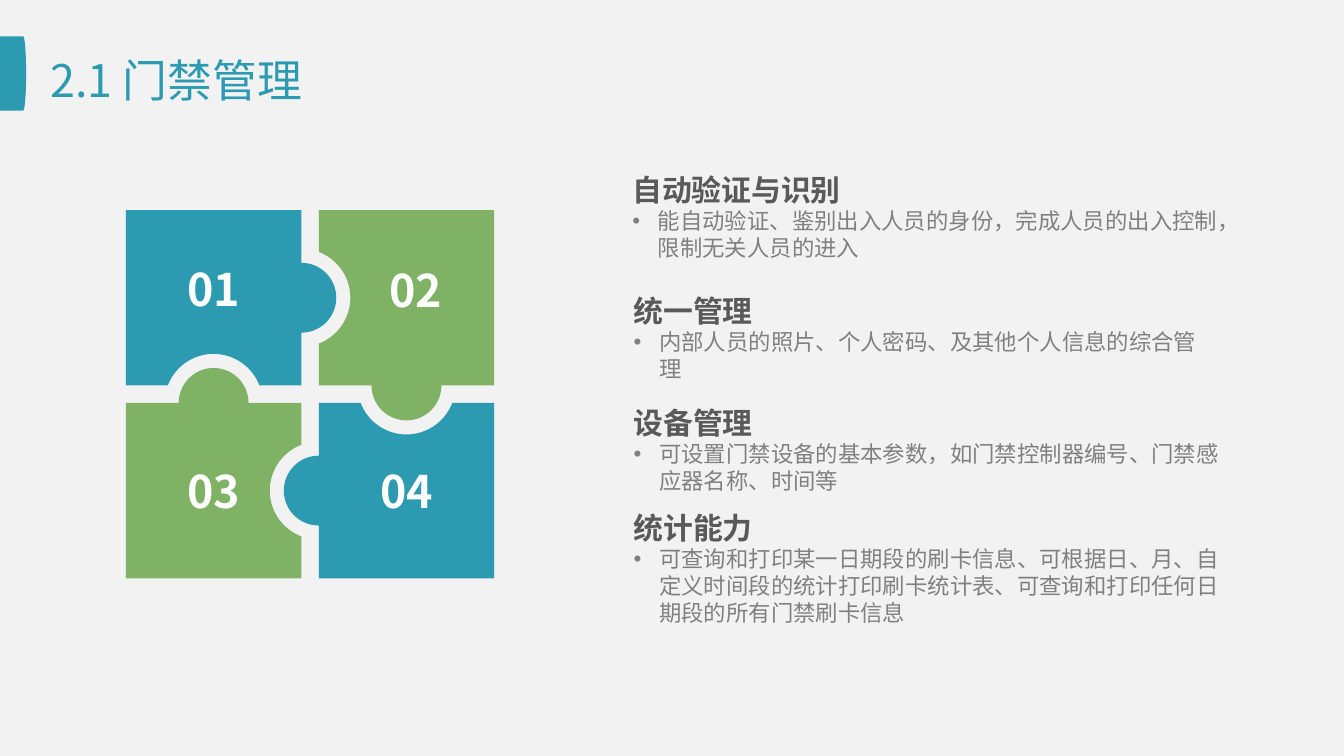
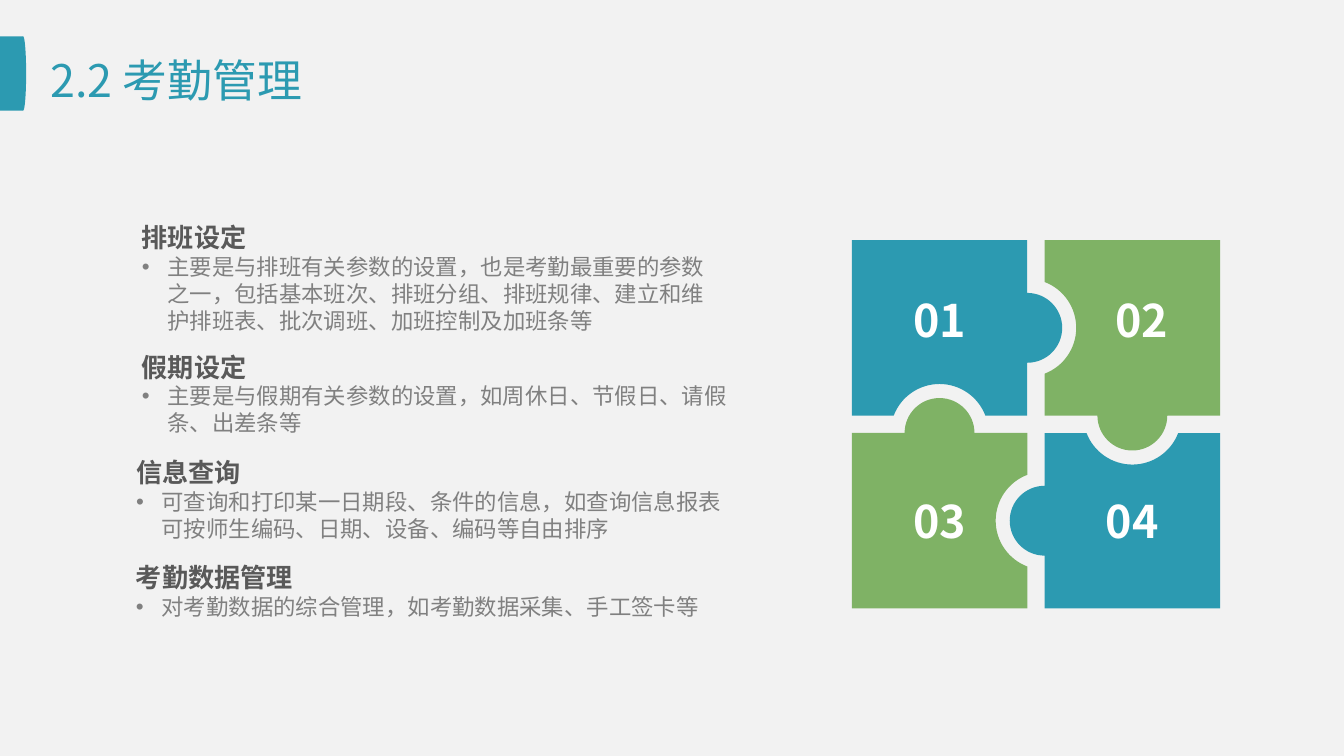
from math import asin, cos, pi, sin, tan

from lxml.etree import SubElement
from pptx import Presentation
from pptx.dml.color import RGBColor
from pptx.enum.shapes import MSO_SHAPE
from pptx.enum.text import MSO_ANCHOR, MSO_AUTO_SIZE, PP_ALIGN
from pptx.oxml.ns import qn
from pptx.util import Inches, Pt

SLIDE_WIDTH, SLIDE_HEIGHT = Inches(10), Inches(5.625)
COLUMN = SLIDE_WIDTH / 100
FONT = "Noto Sans CJK SC"
TEAL, GREEN, WHITE, PALE = "2C9AB1", "7FB265", "FFFFFF", "F2F2F2"
HEADING_GRAY, BODY_GRAY = "595959", "808080"

PIECE, GAP, KNOB, SOCKET = 13.05, 1.3, 2.6, 3.65
PIECES = [
    ("01", 0, 0, 0, TEAL, (0, -0.65)),
    ("02", 1, 0, 1, GREEN, (0.7, -0.6)),
    ("04", 1, 1, 2, TEAL, (0, 0)),
    ("03", 0, 1, 3, GREEN, (0, 0)),
]

ACCESS_TOPICS = [
    (46.35, 12.35, 46, 7.5, "自动验证与识别",
     "能自动验证、鉴别出入人员的身份，完成人员的出入控制，限制无关人员的进入"),
    (46.45, 21.35, 43.9, 7.5, "统一管理",
     "内部人员的照片、个人密码、及其他个人信息的综合管理"),
    (46.45, 29.7, 45.8, 7.5, "设备管理",
     "可设置门禁设备的基本参数，如门禁控制器编号、门禁感应器名称、时间等"),
    (46.45, 37.5, 46, 9.5, "统计能力",
     "可查询和打印某一日期段的刷卡信息、可根据日、月、自定义时间段的统计打印刷卡统计表、"
     "可查询和打印任何日期段的所有门禁刷卡信息"),
]
ATTENDANCE_TOPICS = [
    (9.85, 16.05, 43.9, 9.2, "排班设定",
     "主要是与排班有关参数的设置，也是考勤最重要的参数之一，包括基本班次、排班分组、"
     "排班规律、建立和维护排班表、批次调班、加班控制及加班条等"),
    (9.85, 25.7, 46, 7.2, "假期设定",
     "主要是与假期有关参数的设置，如周休日、节假日、请假条、出差条等"),
    (9.42, 33.55, 45.8, 7.2, "信息查询",
     "可查询和打印某一日期段、条件的信息，如查询信息报表可按师生编码、日期、设备、编码等自由排序"),
    (9.42, 41.4, 46, 5.1, "考勤数据管理",
     "对考勤数据的综合管理，如考勤数据采集、手工签卡等"),
]


def color(value):
    """Turn a hex string into a colour."""
    return RGBColor.from_string(value)


def grid(*columns):
    """Turn counts of grid columns into slide lengths."""
    return [round(count * COLUMN) for count in columns]


def paint(shape, fill):
    """Give a shape a plain fill without line or shadow."""
    shape.shadow.inherit = False
    shape.fill.solid()
    shape.fill.fore_color.rgb = color(fill)
    shape.line.fill.background()


def add_run(paragraph, text, size, text_color, bold=False):
    """Add one formatted run to a paragraph."""
    run = paragraph.add_run()
    run.text = text
    run.font.size = Pt(size)
    run.font.bold = bold
    run.font.color.rgb = color(text_color)
    run.font.name = FONT
    SubElement(run.font._element, qn("a:ea"), typeface=FONT)


def add_bullet(paragraph):
    """Give a paragraph a round bullet with a hanging indent."""
    properties = paragraph._p.get_or_add_pPr()
    indent, = grid(1.9)
    properties.set("marL", str(indent))
    properties.set("indent", str(-indent))
    SubElement(properties, qn("a:buFont"), typeface="Arial")
    SubElement(properties, qn("a:buChar"), char="•")


def add_side_tab(slide):
    """Draw the teal tab once and hand it to the slide's layout."""
    for preset, left, width in ((MSO_SHAPE.RECTANGLE, 0, 1.7), (MSO_SHAPE.OVAL, 1.5, 0.45)):
        shape = slide.shapes.add_shape(preset, *grid(left, 2.7, width, 5.54))
        paint(shape, TEAL)
        slide.slide_layout.shapes.element.append(shape.element)


def set_title(slide, text):
    """Place and format the title."""
    title = slide.shapes.title
    title.left, title.top, title.width, title.height = grid(2.75, 2.9, 90, 6)
    frame = title.text_frame
    frame.vertical_anchor = MSO_ANCHOR.MIDDLE
    frame.auto_size = MSO_AUTO_SIZE.NONE
    paragraph = frame.paragraphs[0]
    paragraph.alignment = PP_ALIGN.LEFT
    add_run(paragraph, text, 24, TEAL)


def add_topic(slide, left, top, width, height, heading, body, heading_size):
    """Add a bold heading with one bullet below it."""
    frame = slide.shapes.add_textbox(*grid(left, top, width, height)).text_frame
    frame.word_wrap = True
    frame.auto_size = MSO_AUTO_SIZE.SHAPE_TO_FIT_TEXT
    frame.vertical_anchor = MSO_ANCHOR.MIDDLE
    frame.margin_left, frame.margin_right = grid(0.7, 0.7)
    frame.margin_top, frame.margin_bottom = grid(0.4, 0.4)
    first, second = frame.paragraphs[0], frame.add_paragraph()
    add_bullet(second)
    first.line_spacing = Pt(heading_size * 1.2)
    second.line_spacing = Pt(12 * 1.2)
    add_run(first, heading, heading_size, HEADING_GRAY, bold=True)
    add_run(second, body, 12, BODY_GRAY)


def arc(center_x, center_y, radius, start, sweep):
    """Return an arc as its start point and two curves of three points."""
    step = sweep / 2
    pull = radius * 4 / 3 * tan(step / 4)

    def place(angle, shift=0):
        return (center_x + radius * cos(angle) - shift * sin(angle),
                center_y + radius * sin(angle) + shift * cos(angle))

    angles = (start, start + step)
    curves = [[place(a, pull), place(a + step, -pull), place(a + step)] for a in angles]
    return [[place(start)], *curves]


def piece_outline(quarter_turns):
    """Return a piece's segments, turned clockwise from knob right, socket below."""
    half = PIECE / 2
    mouth = asin(GAP / SOCKET)
    segments = [[(-half, -half)], [(half, -half)], *arc(half, 0, KNOB, -pi / 2, pi), [(half, half)],
                *arc(0, half + GAP, SOCKET, -mouth, 2 * mouth - pi), [(-half, half)]]
    for _ in range(quarter_turns):
        segments = [[(-y, x) for x, y in segment] for segment in segments]
    return segments


def add_piece(group, x, y, quarter_turns, fill):
    """Add one puzzle piece with curved knob and socket."""
    segments = [[grid(x + dx, y + dy) for dx, dy in segment]
                for segment in piece_outline(quarter_turns)]
    builder = group.shapes.build_freeform(*segments[0][0])
    builder.add_line_segments([segment[-1] for segment in segments[1:]], close=True)
    shape = builder.convert_to_shape()
    paint(shape, fill)
    lines = list(shape.element.iter(qn("a:lnTo")))
    for line, segment in zip(lines, segments[1:]):
        if len(segment) == 3:
            curve = SubElement(line.getparent(), qn("a:cubicBezTo"))
            for point_x, point_y in segment:
                SubElement(curve, qn("a:pt"), x=str(point_x - shape.left), y=str(point_y - shape.top))
            line.getparent().replace(line, curve)


def add_puzzle(slide, left, top):
    """Add the group of four numbered puzzle pieces."""
    group = slide.shapes.add_group_shape()
    centers = [(left + PIECE / 2 + column * (PIECE + GAP), top + PIECE / 2 + row * (PIECE + GAP))
               for _, column, row, *_ in PIECES]
    for (_, _, _, turns, fill, _), (x, y) in zip(PIECES, centers):
        add_piece(group, x, y, turns, fill)
    for (number, *_, (shift_x, shift_y)), (x, y) in zip(PIECES, centers):
        box = group.shapes.add_textbox(*grid(x + shift_x - 3.9, y + shift_y - 2.75, 7.8, 5.5))
        frame = box.text_frame
        frame.word_wrap = True
        frame.vertical_anchor = MSO_ANCHOR.MIDDLE
        paragraph = frame.paragraphs[0]
        paragraph.alignment = PP_ALIGN.CENTER
        add_run(paragraph, number, 24, WHITE, bold=True)


def add_topic_slide(presentation, title, topics, heading_size, puzzle_left, puzzle_top):
    """Add a slide with a title, four topics and a puzzle."""
    slide = presentation.slides.add_slide(presentation.slide_layouts[5])
    set_title(slide, title)
    for topic in topics:
        add_topic(slide, *topic, heading_size)
    add_puzzle(slide, puzzle_left, puzzle_top)
    return slide


def main():
    """Build and save the presentation."""
    presentation = Presentation()
    presentation.slide_width, presentation.slide_height = SLIDE_WIDTH, SLIDE_HEIGHT
    background = presentation.slide_master.background.fill
    background.solid()
    background.fore_color.rgb = color(PALE)
    access = add_topic_slide(presentation, "2.1 门禁管理", ACCESS_TOPICS, 16, 9.37, 15.63)
    add_side_tab(access)
    add_topic_slide(presentation, "2.2 考勤管理", ATTENDANCE_TOPICS, 14, 63.38, 17.87)
    presentation.save("out.pptx")


if __name__ == "__main__":
    main()
